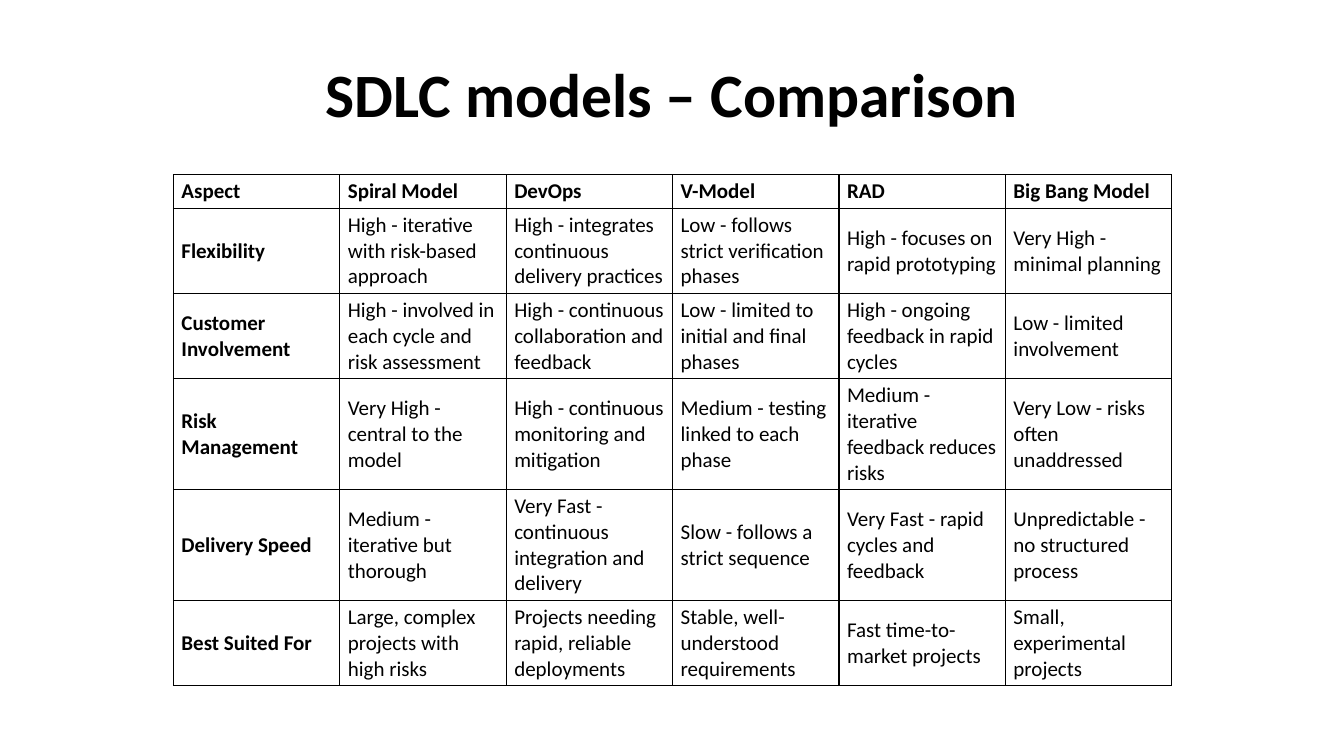
import pptx
import pptx.dml.color
import pptx.enum.text
import pptx.oxml.ns
import pptx.util
import lxml.etree

BLACK = pptx.dml.color.RGBColor(0x00, 0x00, 0x00)
WHITE = pptx.dml.color.RGBColor(0xFF, 0xFF, 0xFF)

TITLE = "SDLC models – Comparison"
MODELS = [
    ["Aspect", "Spiral Model", "DevOps", "V-Model", "RAD", "Big Bang Model"],
    ["Flexibility",
     "High - iterative with risk-based approach",
     "High - integrates continuous delivery practices",
     "Low - follows strict verification phases",
     "High - focuses on rapid prototyping",
     "Very High - minimal planning"],
    ["Customer Involvement",
     "High - involved in each cycle and risk assessment",
     "High - continuous collaboration and feedback",
     "Low - limited to initial and final phases",
     "High - ongoing feedback in rapid cycles",
     "Low - limited involvement"],
    ["Risk Management",
     "Very High - central to the model",
     "High - continuous monitoring and mitigation",
     "Medium - testing linked to each phase",
     "Medium - iterative feedback reduces risks",
     "Very Low - risks often unaddressed"],
    ["Delivery Speed",
     "Medium - iterative but thorough",
     "Very Fast - continuous integration and delivery",
     "Slow - follows a strict sequence",
     "Very Fast - rapid cycles and feedback",
     "Unpredictable - no structured process"],
    ["Best Suited For",
     "Large, complex projects with high risks",
     "Projects needing rapid, reliable deployments",
     "Stable, well-understood requirements",
     "Fast time-to-market projects",
     "Small, experimental projects"],
]
ROW_LINES = [1, 3, 3, 4, 4, 3]


class Deck:
    font = "Calibri"
    line = pptx.util.Inches(0.25)
    side = pptx.util.Inches(0.08)
    edge = pptx.util.Inches(0.04)
    rule = pptx.util.Pt(1)

    def __init__(self):
        self.show = pptx.Presentation()
        self.show.slide_width = pptx.util.Inches(13.33)
        self.show.slide_height = pptx.util.Inches(7.5)
        self.slide = self.show.slides.add_slide(self.show.slide_layouts[5])

    def across(self, share):
        return round(self.show.slide_width * share)

    def down(self, share):
        return round(self.show.slide_height * share)

    def style(self, frame, size, bold, align):
        frame.word_wrap = True
        frame.vertical_anchor = pptx.enum.text.MSO_ANCHOR.MIDDLE
        for para in frame.paragraphs:
            para.alignment = align
            for run in para.runs:
                run.font.name = self.font
                run.font.size = pptx.util.Pt(size)
                run.font.bold = bold
                run.font.color.rgb = BLACK

    def title(self, text):
        shape = self.slide.shapes.title
        shape.left, shape.top = self.across(0.05), self.down(0.04)
        shape.width, shape.height = self.across(0.9), self.down(1 / 6)
        shape.text_frame.text = text
        self.style(shape.text_frame, 44, True, pptx.enum.text.PP_ALIGN.CENTER)

    def border(self, cell):
        """Rule all four sides; the lines must come before the cell's fill."""
        props = cell._tc.get_or_add_tcPr()
        for place, tag in enumerate(("a:lnL", "a:lnR", "a:lnT", "a:lnB")):
            line = lxml.etree.Element(pptx.oxml.ns.qn(tag), w=str(self.rule))
            fill = lxml.etree.SubElement(line, pptx.oxml.ns.qn("a:solidFill"))
            lxml.etree.SubElement(fill, pptx.oxml.ns.qn("a:srgbClr"), val=str(BLACK))
            props.insert(place, line)

    def cell(self, cell, text, bold):
        cell.margin_left = cell.margin_right = self.side
        cell.margin_top = cell.margin_bottom = self.edge
        cell.fill.solid()
        cell.fill.fore_color.rgb = WHITE
        self.border(cell)
        cell.text_frame.text = text
        cell.vertical_anchor = pptx.enum.text.MSO_ANCHOR.MIDDLE
        for run in cell.text_frame.paragraphs[0].runs:
            run.font.name = self.font
            run.font.size = pptx.util.Pt(15)
            run.font.bold = bold
            run.font.color.rgb = BLACK

    def table(self, rows, lines):
        """Size each row by the number of text lines it holds."""
        highs = [count * self.line + 2 * self.edge for count in lines]
        grid = self.slide.shapes.add_table(
            len(rows), len(rows[0]), self.across(0.129), self.down(0.231),
            self.across(0.743), sum(highs)).table
        grid.first_row = grid.horz_banding = False
        for r, texts in enumerate(rows):
            grid.rows[r].height = highs[r]
            for c, text in enumerate(texts):
                self.cell(grid.cell(r, c), text, r == 0 or c == 0)


def main():
    deck = Deck()
    deck.title(TITLE)
    deck.table(MODELS, ROW_LINES)
    deck.show.save("out.pptx")


if __name__ == "__main__":
    main()
